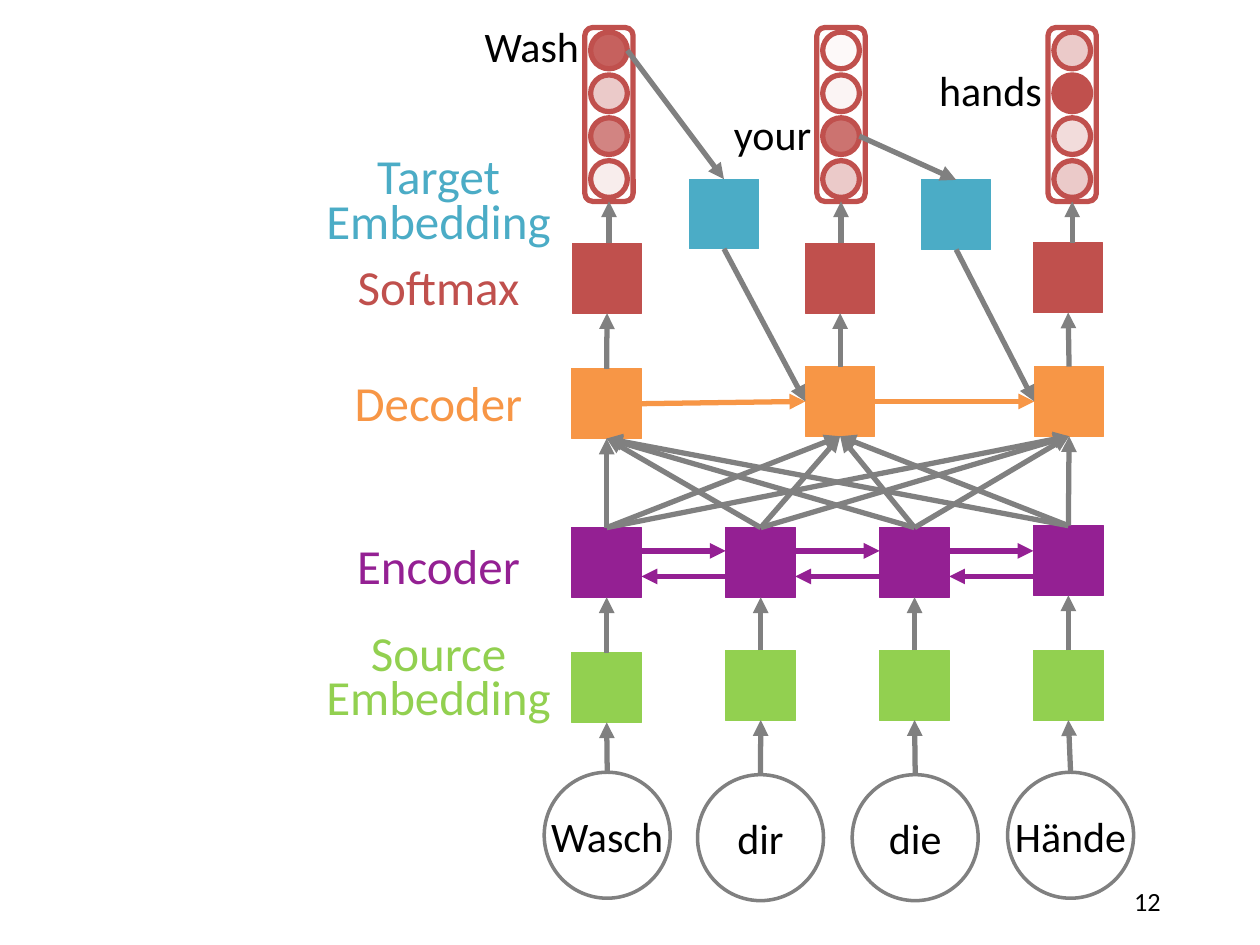
from lxml.etree import SubElement
from pptx import Presentation
from pptx.dml.color import RGBColor
from pptx.enum.shapes import MSO_CONNECTOR as Line, MSO_SHAPE as Kind
from pptx.enum.text import MSO_ANCHOR as Anchor, PP_ALIGN as Align
from pptx.oxml.ns import qn
from pptx.util import Pt

RED = RGBColor(0xC0, 0x50, 0x4D)
PINK = RGBColor(0xD9, 0x96, 0x94)
ORANGE = RGBColor(0xF7, 0x96, 0x46)
PURPLE = RGBColor(0x94, 0x20, 0x93)
GREEN = RGBColor(0x92, 0xD0, 0x50)
TEAL = RGBColor(0x4B, 0xAC, 0xC6)
GREY = RGBColor(0x80, 0x80, 0x80)
BLACK = RGBColor(0, 0, 0)

TOP, LEFT, BOTTOM, RIGHT = range(4)
SIDE = 39.8
BALL, PITCH = 21, 24.5

deck = Presentation()
deck.slide_width, deck.slide_height = Pt(720), Pt(540)
slide = deck.slides.add_slide(deck.slide_layouts[6])


def put(kind, x, y, w, h, text="", fill=None, fade=100, line=None, width=0.5,
        size=24, color=BLACK, align=Align.CENTER, wrap=False, pitch=None):
    """Add a shape, or a text box if kind is None; fade is the fill's opacity in percent."""
    area = [Pt(v) for v in (x, y, w, h)]
    if kind is None:
        shape = slide.shapes.add_textbox(*area)
    else:
        shape = slide.shapes.add_shape(kind, *area)
        shape.shadow.inherit = False
        if fill is None:
            shape.fill.background()
        else:
            shape.fill.solid()
            shape.fill.fore_color.rgb = fill
            if fade < 100:
                tint = shape.element.spPr.find(qn("a:solidFill"))[0]
                SubElement(tint, qn("a:alpha"), val=str(fade * 1000))
        shape.line.color.rgb = line or fill
        shape.line.width = Pt(width)
    if text:
        frame = shape.text_frame
        frame.text = text
        frame.word_wrap = wrap
        frame.vertical_anchor = Anchor.MIDDLE
        frame.margin_left = frame.margin_right = Pt(7.2 if wrap else 0)
        frame.margin_top = frame.margin_bottom = 0
        for para in frame.paragraphs:
            para.alignment = align
            if pitch:
                para.line_spacing = Pt(pitch)
            para.font.name = "Calibri"
            para.font.size = Pt(size)
            para.font.color.rgb = color
    return shape


def link(start, end, color=GREY):
    """Draw an arrow; each end is (shape, site) or a point (x, y)."""
    spots = [(0, 0) if hasattr(a, "shape_id") else (a, b) for a, b in (start, end)]
    line = slide.shapes.add_connector(
        Line.STRAIGHT, *[Pt(v) for spot in spots for v in spot])
    if hasattr(start[0], "shape_id"):
        line.begin_connect(*start)
    if hasattr(end[0], "shape_id"):
        line.end_connect(*end)
    line.line.color.rgb = color
    line.line.width = Pt(3)
    props = line.element.spPr
    SubElement(props.get_or_add_ln(), qn("a:tailEnd"), type="triangle")
    SubElement(props, qn("a:effectLst"))


# Row labels
for text, top, color in [
    ("Target\nEmbedding", 81, TEAL),
    ("Softmax", 127.4, RED),
    ("Decoder", 193.7, ORANGE),
    ("Encoder", 286.6, PURPLE),
    ("Source\nEmbedding", 353.2, GREEN),
]:
    put(None, 142.6, top, 216, 72, text, size=28, color=color, wrap=True,
        pitch=25.5 if "\n" in text else None)

# Boxes of each layer, left to right
rows = {}
for name, color, spots in [
    ("softmax", RED, [(327, 139.2), (460.2, 139.2), (590.5, 138.8)]),
    ("decoder", ORANGE, [(326.8, 210.8), (460.2, 209.5), (591, 209.5)]),
    ("source", GREEN, [(326.8, 373), (414.8, 371.7), (502.7, 371.7), (590.6, 371.7)]),
    ("encoder", PURPLE, [(326.8, 301.5), (414.8, 301.5), (502.7, 301.5), (590.6, 300.4)]),
    ("target", TEAL, [(393.8, 102.4), (526.5, 102.8)]),
]:
    rows[name] = [put(Kind.RECTANGLE, x, y, SIDE, SIDE, fill=color) for x, y in spots]
softmax, decoder, source, encoder, target = rows.values()

# Source words feed the source embeddings, which feed the encoder
for (text, x, y), embed, state in zip(
    [("Wasch", 311, 441.3), ("dir", 398.6, 442.7), ("die", 487, 442.7), ("Hände", 575.8, 441.3)],
    source, encoder,
):
    word = put(Kind.OVAL, x, y, 72, 72, text, line=GREY, width=2)
    link((word, TOP), (embed, BOTTOM))
    link((embed, TOP), (state, BOTTOM))

# The encoder runs in both directions
for i in range(3):
    near, far = 366.6 + 87.9 * i, 414.7 + 87.9 * i
    link((near, 314.8), (far, 314.8), PURPLE)
    link((far, 329.4), (near, 329.4), PURPLE)

# Every encoder state reaches every decoder state
for state in encoder:
    for step in decoder:
        link((state, TOP), (step, BOTTOM))

for i in range(2):
    link((decoder[i], RIGHT), (decoder[i + 1], LEFT), ORANGE)
    link((target[i], BOTTOM), (decoder[i + 1], LEFT))

# Output distributions: opacity of each ball, top to bottom
chosen = []
for i, (mid, pick, balls) in enumerate([
    (348, 0, [(RED, 90), (RED, 30), (RED, 70), (RED, 10)]),
    (480.6, 2, [(PINK, 5), (PINK, 10), (RED, 80), (RED, 30)]),
    (612.7, 1, [(RED, 30), (RED, 100), (RED, 20), (RED, 30)]),
]):
    link((decoder[i], TOP), (softmax[i], BOTTOM))
    frame = put(Kind.ROUNDED_RECTANGLE, mid - 13.8, 15.7, 27.6, 99.4, line=RED, width=3)
    link((mid, 139), (frame, BOTTOM))
    for k, (color, fade) in enumerate(balls):
        put(Kind.OVAL, mid - BALL / 2, 18.3 + PITCH * k, BALL, BALL,
            fill=color, fade=fade, line=RED, width=3)
    chosen.append((mid + BALL / 2, 18.3 + PITCH * pick + BALL / 2))

# Each chosen word becomes the next target embedding
for spot, embed in zip(chosen, target):
    link(spot, (embed, TOP))

for text, x, y in [("Wash", 267.9, -10), ("your", 405.5, 40.5), ("hands", 530, 15)]:
    put(None, x, y, 72, 72, text)

put(None, 508.3, 500.4, 162, 28.8, "12", size=15, align=Align.RIGHT, wrap=True)

deck.save("out.pptx")
